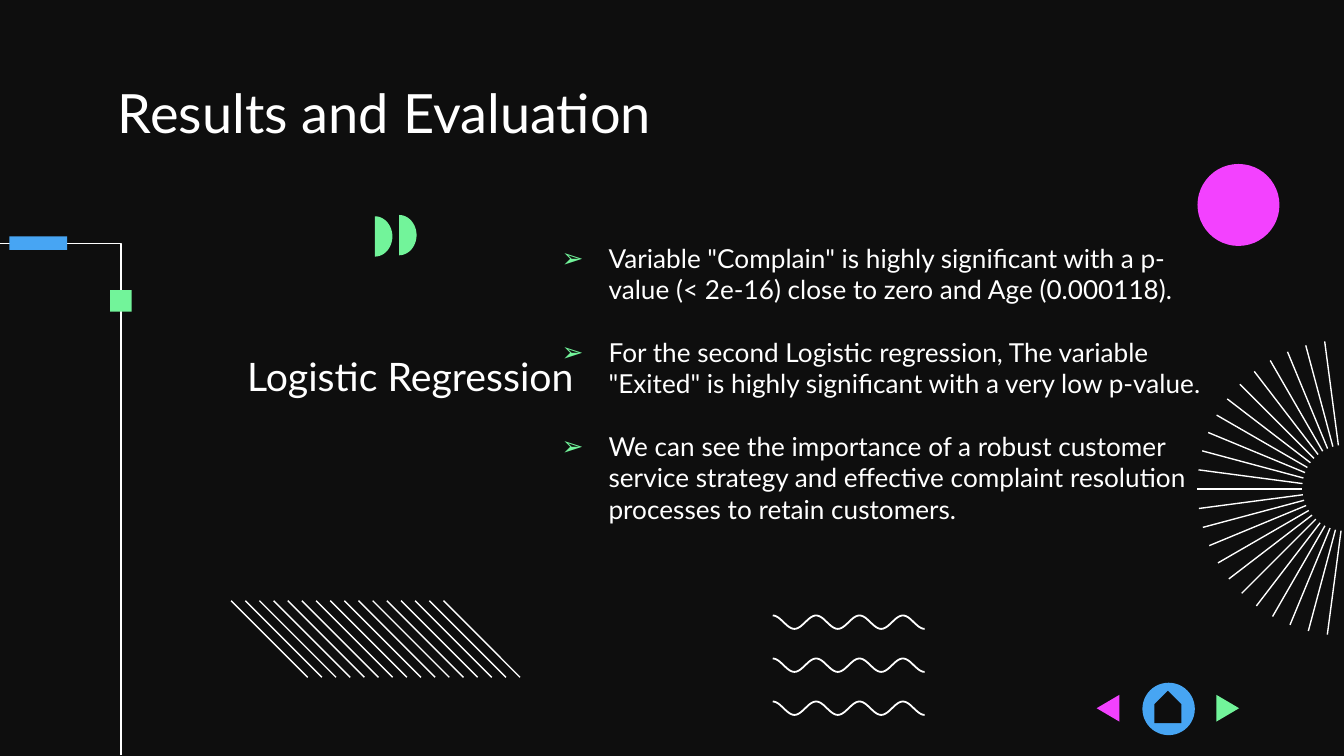
from math import cos, pi, radians, sin

from lxml.etree import SubElement
from pptx import Presentation
from pptx.dml.color import RGBColor
from pptx.enum.shapes import MSO_CONNECTOR, MSO_SHAPE
from pptx.enum.text import MSO_ANCHOR
from pptx.oxml.ns import qn
from pptx.util import Inches, Pt

COLORS = {
    "background": "0E0E0E",
    "white": "FFFFFF",
    "green": "72F49A",
    "blue": "47A5F3",
    "pink": "F341FF",
}
FONT = "Lato"
FINDINGS = [
    'Variable "Complain" is highly significant with a p-value (< 2e-16) close to zero and Age (0.000118).',
    'For the second Logistic regression, The variable "Exited" is highly significant with a very low p-value.',
    "We can see the importance of a robust customer service strategy and effective complaint resolution "
    "processes to retain customers.",
]


def color(name):
    return RGBColor.from_string(COLORS[name])


def paint(shape, fill):
    shape.shadow.inherit = False
    shape.fill.solid()
    shape.fill.fore_color.rgb = color(fill)
    shape.line.fill.background()


def add_line(slide, start, end):
    points = [Inches(value) for value in (*start, *end)]
    connector = slide.shapes.add_connector(MSO_CONNECTOR.STRAIGHT, *points)
    connector.line.color.rgb = color("white")
    connector.line.width = Pt(0.75)
    SubElement(connector._element.spPr, qn("a:effectLst"))


def add_outline(slide, points, closed):
    corners = [(Inches(x), Inches(y)) for x, y in points]
    builder = slide.shapes.build_freeform(*corners[0])
    builder.add_line_segments(corners[1:], close=closed)
    return builder.convert_to_shape()


def add_polygon(slide, points, fill):
    paint(add_outline(slide, points, True), fill)


def add_polyline(slide, points, width):
    shape = add_outline(slide, points, False)
    shape.shadow.inherit = False
    shape.fill.background()
    shape.line.color.rgb = color("white")
    shape.line.width = Pt(width)


def add_preset(slide, kind, box, fill, rotation=0):
    shape = slide.shapes.add_shape(kind, *[Inches(value) for value in box])
    paint(shape, fill)
    shape.rotation = rotation


def add_text(slide, box, texts, size, top_inset=0):
    text_box = slide.shapes.add_textbox(*[Inches(value) for value in box])
    frame = text_box.text_frame
    frame.word_wrap = True
    frame.vertical_anchor = MSO_ANCHOR.TOP
    frame.margin_left = frame.margin_right = frame.margin_bottom = Inches(0.1)
    frame.margin_top = Inches(top_inset)
    frame.text = "\n".join(texts)
    for paragraph in frame.paragraphs:
        paragraph.font.name = FONT
        paragraph.font.size = Pt(size)
        paragraph.font.color.rgb = color("white")
    return frame


def add_bullet(paragraph):
    properties = paragraph._p.get_or_add_pPr()
    properties.set("marL", str(Inches(0.5)))
    properties.set("indent", str(Inches(-0.35)))
    bullet_color = properties.makeelement(qn("a:buClr"), {})
    SubElement(bullet_color, qn("a:srgbClr"), val=COLORS["green"])
    bullet_font = properties.makeelement(qn("a:buFont"), {"typeface": FONT})
    bullet = properties.makeelement(qn("a:buChar"), {"char": "➢"})
    defaults = properties.find(qn("a:defRPr"))
    for element in (bullet_color, bullet_font, bullet):
        defaults.addprevious(element)


def add_rays(slide):
    center_x, center_y, shift = 10.01, 3.63, 0.01
    for index in range(23):
        angle = radians(97.5 + 7.5 * index)
        start, end = [
            (center_x + radius * cos(angle) - shift * sin(angle),
             center_y - radius * sin(angle) - shift * cos(angle))
            for radius in (1.1, 0.32)
        ]
        add_line(slide, start, end)


def add_hatching(slide):
    for index in range(16):
        left = 1.72 + 1.58 * index / 15
        add_line(slide, (left, 4.47), (left + 0.57, 5.04))


def add_waves(slide):
    steps, half_waves = 12, 7
    count = steps * half_waves
    for top in (4.58, 4.9, 5.22):
        points = [
            (5.75 + 1.13 * step / count, top + 0.05 * (1 - cos(pi * step / steps)))
            for step in range(count + 1)
        ]
        add_polyline(slide, points, 0.95)


def add_half_disc(slide, left, middle):
    angles = [pi * (step / 24 - 0.5) for step in range(25)]
    points = [(left + 0.13 * cos(angle), middle + 0.15 * sin(angle)) for angle in angles]
    add_polygon(slide, points, "green")


def add_arrow(slide, base, tip, fill):
    add_polygon(slide, [(base, 5.17), (tip, 5.27), (base, 5.37)], fill)


def add_corner_frame(slide):
    add_polyline(slide, [(0.9, 5.62), (0.9, 1.81), (0, 1.81)], 0.75)
    add_preset(slide, MSO_SHAPE.RECTANGLE, (0.82, 2.16, 0.16, 0.16), "green")
    add_preset(slide, MSO_SHAPE.RECTANGLE, (0.07, 1.76, 0.43, 0.1), "blue")


def add_findings(slide):
    frame = add_text(slide, (3.93, 1.8, 5.18, 2.28), FINDINGS, 14)
    for index, paragraph in enumerate(frame.paragraphs):
        paragraph.space_before = Pt(16.8 if index else 0)
        add_bullet(paragraph)


def add_navigation(slide):
    add_preset(slide, MSO_SHAPE.OVAL, (8.5, 5.08, 0.39, 0.39), "blue")
    add_preset(slide, MSO_SHAPE.PENTAGON, (8.57, 5.16, 0.24, 0.2), "background", 270)
    add_arrow(slide, 8.33, 8.16, "pink")
    add_arrow(slide, 9.05, 9.22, "green")


def main():
    presentation = Presentation()
    presentation.slide_width = Inches(10)
    presentation.slide_height = Inches(10 * 9 / 16)
    slide = presentation.slides.add_slide(presentation.slide_layouts[6])
    slide.background.fill.solid()
    slide.background.fill.fore_color.rgb = color("background")

    add_rays(slide)
    add_hatching(slide)
    add_corner_frame(slide)
    add_waves(slide)
    add_findings(slide)
    add_text(slide, (1.74, 2.52, 2.68, 0.85), ["Logistic Regression"], 21, 0.1)
    add_text(slide, (0.78, 0.59, 8.44, 0.46), ["Results and Evaluation"], 29)
    add_half_disc(slide, 2.97, 1.75)
    add_half_disc(slide, 2.79, 1.76)
    add_preset(slide, MSO_SHAPE.OVAL, (8.91, 1.22, 0.61, 0.61), "pink")
    add_navigation(slide)
    presentation.save("out.pptx")


if __name__ == "__main__":
    main()
